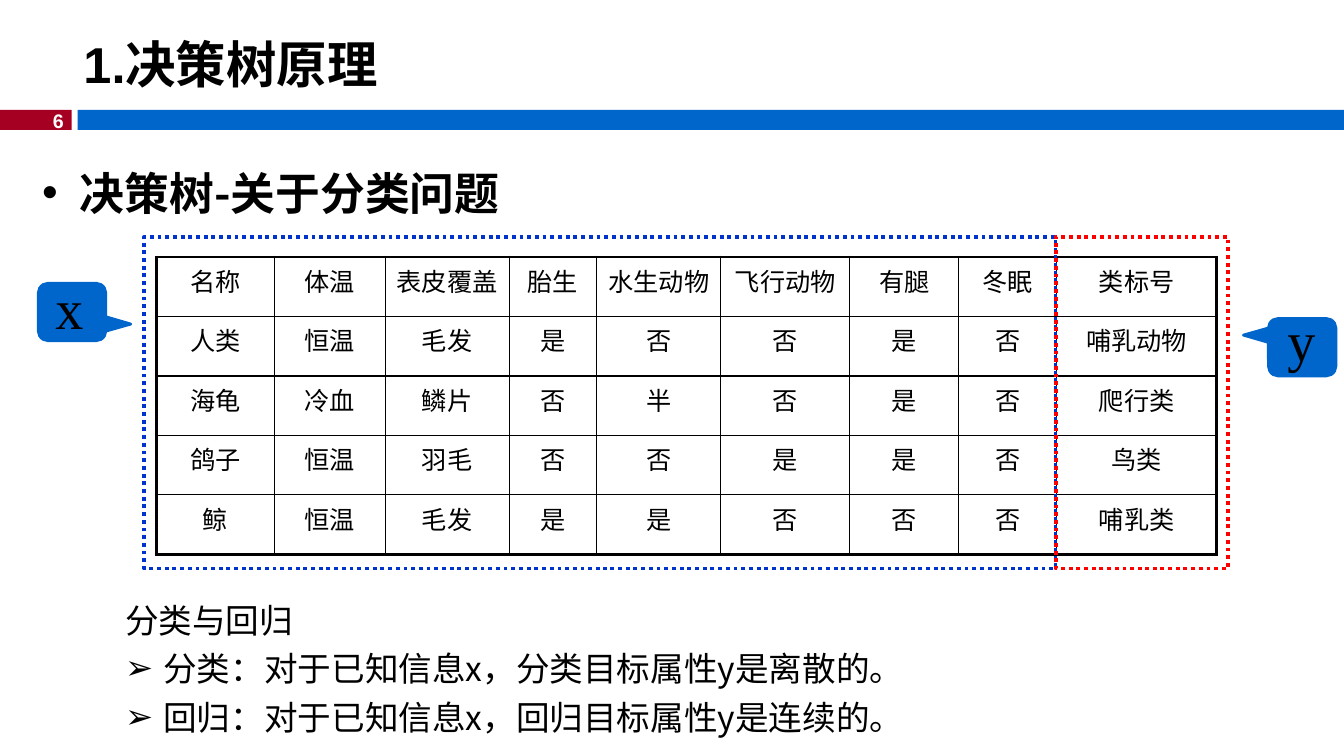
from dataclasses import dataclass

from lxml import etree
from pptx import Presentation
from pptx.dml.color import RGBColor
from pptx.enum.dml import MSO_LINE
from pptx.enum.shapes import MSO_SHAPE
from pptx.enum.text import MSO_ANCHOR, MSO_AUTO_SIZE, PP_ALIGN
from pptx.oxml.ns import qn
from pptx.util import Inches, Pt

RECT = MSO_SHAPE.RECTANGLE
CALLOUT = MSO_SHAPE.ROUNDED_RECTANGULAR_CALLOUT
DOTS = MSO_LINE.ROUND_DOT
LEFT, CENTER, RIGHT = PP_ALIGN.LEFT, PP_ALIGN.CENTER, PP_ALIGN.RIGHT
JUSTIFY = PP_ALIGN.JUSTIFY
TOP, MIDDLE = MSO_ANCHOR.TOP, MSO_ANCHOR.MIDDLE
GROW = MSO_AUTO_SIZE.SHAPE_TO_FIT_TEXT

HUES = {
    "black": "000000",
    "white": "FFFFFF",
    "maroon": "A50021",
    "blue": "0066CC",
    "navy": "0033CC",
    "red": "FF0000",
}
HAN = "Noto Sans CJK SC"
ROMAN = "Times New Roman"
Place = tuple[float, float, float, float]


@dataclass
class Bar:
    place: Place
    hue: str


@dataclass
class Frame:
    place: Place
    hue: str


@dataclass
class Tag:
    word: str
    bubble: Place
    turn: int
    label: Place


@dataclass
class Font:
    size: float
    face: str
    hue: str = "black"
    bold: bool = False


@dataclass
class Line:
    text: str
    font: Font
    align: PP_ALIGN = LEFT
    before: float = 0
    pitch: float = 1.0
    bullet: str = ""
    indent: float = 0


BARS = [Bar((0, 1.09, 0.71, 0.2), "maroon"), Bar((0.77, 1.09, 12.56, 0.2), "blue")]
FRAMES = [Frame((1.43, 2.35, 9.04, 3.29), "navy"), Frame((10.47, 2.35, 1.71, 3.29), "red")]
TAGS = [
    Tag("x", (0.43, 2.76, 0.57, 0.67), 270, (0.45, 2.66, 0.78, 0.77)),
    Tag("y", (12.63, 3.11, 0.57, 0.67), 90, (12.67, 2.98, 0.78, 0.77)),
]
WIDTHS = [1.17, 1.1, 1.23, 0.87, 1.23, 1.28, 1.08, 0.97, 1.59]
HEIGHT = 0.59
ROWS = [
    "名称 体温 表皮覆盖 胎生 水生动物 飞行动物 有腿 冬眠 类标号".split(),
    "人类 恒温 毛发 是 否 否 是 否 哺乳动物".split(),
    "海龟 冷血 鳞片 否 半 否 是 否 爬行类".split(),
    "鸽子 恒温 羽毛 否 否 是 是 否 鸟类".split(),
    "鲸 恒温 毛发 是 是 否 否 否 哺乳类".split(),
]
NOTE = Font(24, HAN)
NOTES = [
    Line("分类与回归", NOTE, JUSTIFY, pitch=1.2),
    Line("分类：对于已知信息x，分类目标属性y是离散的。", NOTE, JUSTIFY, 0, 1.2, "➢", 0.38),
    Line("回归：对于已知信息x，回归目标属性y是连续的。", NOTE, JUSTIFY, 0, 1.2, "➢", 0.38),
]


def color(hue: str) -> RGBColor:
    return RGBColor.from_string(HUES[hue])


def box(place: Place) -> list[int]:
    return [Inches(side) for side in place]


def write(frame, lines: list[Line]) -> None:
    for rank, line in enumerate(lines):
        para = frame.add_paragraph() if rank else frame.paragraphs[0]
        para.alignment = line.align
        para.space_before = Pt(line.before)
        para.line_spacing = line.pitch
        if line.bullet:
            props = para._p.get_or_add_pPr()
            props.set("marL", str(Inches(line.indent)))
            props.set("indent", str(-Inches(line.indent)))
            etree.SubElement(props, qn("a:buFont"), typeface="Arial")
            etree.SubElement(props, qn("a:buChar"), char=line.bullet)
        run = para.add_run()
        run.text = line.text
        font = run.font
        font.size = Pt(line.font.size)
        font.bold = line.font.bold
        font.color.rgb = color(line.font.hue)
        font.name = line.font.face
        etree.SubElement(run._r.get_or_add_rPr(), qn("a:ea"), typeface=HAN)


def add_text(slide, place: Place, lines: list[Line], anchor=TOP,
             wrap: bool = True, grow: bool = False, inset: bool = True) -> None:
    frame = slide.shapes.add_textbox(*box(place)).text_frame
    frame.word_wrap = wrap
    frame.vertical_anchor = anchor
    if grow:
        frame.auto_size = GROW
    if not inset:
        frame.margin_left = frame.margin_right = 0
        frame.margin_top = frame.margin_bottom = 0
    write(frame, lines)


def add_bar(slide, bar: Bar) -> None:
    shape = slide.shapes.add_shape(RECT, *box(bar.place))
    shape.shadow.inherit = False
    shape.fill.solid()
    shape.fill.fore_color.rgb = color(bar.hue)
    shape.line.fill.background()


def add_frame(slide, frame: Frame) -> None:
    shape = slide.shapes.add_shape(RECT, *box(frame.place))
    shape.shadow.inherit = False
    shape.fill.background()
    shape.line.color.rgb = color(frame.hue)
    shape.line.width = Pt(2.75)
    shape.line.dash_style = DOTS


def add_tag(slide, tag: Tag) -> None:
    shape = slide.shapes.add_shape(CALLOUT, *box(tag.bubble))
    shape.shadow.inherit = False
    for rank, value in enumerate((-0.21, 0.87, 0.17)):
        shape.adjustments[rank] = value
    shape.rotation = tag.turn
    shape.fill.solid()
    shape.fill.fore_color.rgb = color("blue")
    shape.line.color.rgb = color("blue")
    shape.line.width = Pt(2)
    add_text(slide, tag.label, [Line(tag.word, Font(40, ROMAN))], grow=True)


def add_edges(cell, edges: dict[str, bool]) -> None:
    props = cell._tc.get_or_add_tcPr()
    for rank, (side, thick) in enumerate(edges.items()):
        edge = etree.Element(qn(f"a:ln{side}"), w=str(Pt(2.25 if thick else 1)))
        fill = etree.SubElement(edge, qn("a:solidFill"))
        etree.SubElement(fill, qn("a:srgbClr"), val=HUES["black"])
        props.insert(rank, edge)


def add_grid(slide) -> None:
    place = (1.55, 2.55, sum(WIDTHS), HEIGHT * len(ROWS))
    grid = slide.shapes.add_table(len(ROWS), len(WIDTHS), *box(place)).table
    grid.first_row = grid.horz_banding = False
    for col, width in zip(grid.columns, WIDTHS):
        col.width = Inches(width)
    for r, words in enumerate(ROWS):
        grid.rows[r].height = Inches(HEIGHT)
        for c, word in enumerate(words):
            cell = grid.cell(r, c)
            cell.fill.background()
            write(cell.text_frame, [Line(word, Font(18, ROMAN), CENTER, 3.6)])
            add_edges(cell, {"L": c == 0, "R": c == len(WIDTHS) - 1,
                             "T": r == 0, "B": r == len(ROWS) - 1})


def main() -> None:
    deck = Presentation()
    deck.slide_width, deck.slide_height = Inches(13.33), Inches(7.5)
    slide = deck.slides.add_slide(deck.slide_layouts[6])
    for bar in BARS:
        add_bar(slide, bar)
    add_text(slide, (0.29, 1.03, 0.44, 0.34),
             [Line("6", Font(14, "Arial", "white", True), RIGHT)], wrap=False, grow=True)
    add_text(slide, (0.32, 1.59, 12.6, 0.7),
             [Line("决策树-关于分类问题", Font(32, HAN, bold=True), LEFT, 6.4, 1.0, "•", 0.37)])
    add_text(slide, (0.73, 0.26, 12.6, 0.74),
             [Line("1.决策树原理", Font(36, "Arial", bold=True))], MIDDLE)
    add_grid(slide)
    add_text(slide, (1.24, 5.87, 11.15, 1.45), NOTES, grow=True, inset=False)
    for frame, tag in zip(FRAMES, TAGS):
        add_frame(slide, frame)
        add_tag(slide, tag)
    deck.save("out.pptx")


if __name__ == "__main__":
    main()
